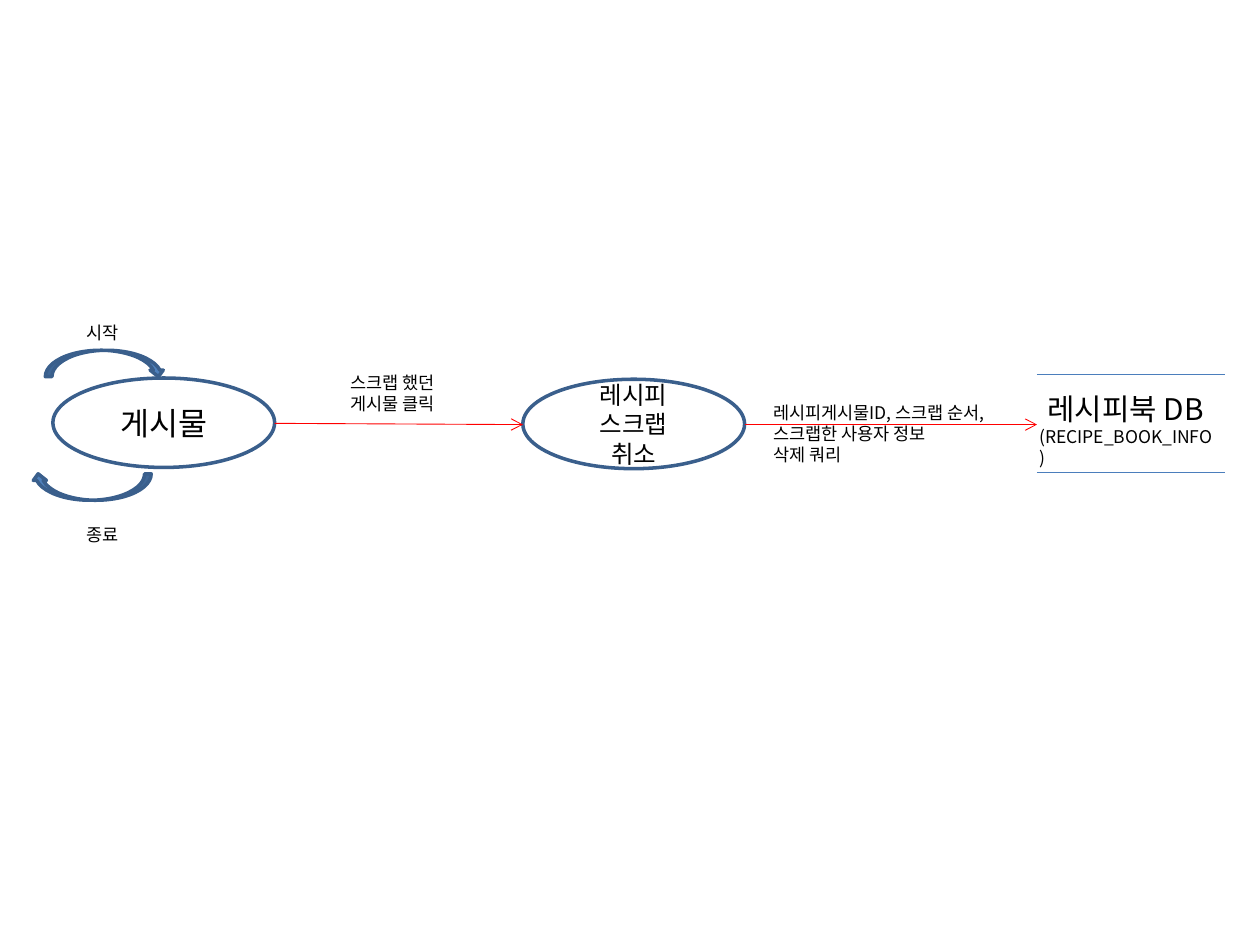
from lxml import etree
from pptx import Presentation
from pptx import util as u
from pptx.dml.color import RGBColor
from pptx.enum import shapes, text
from pptx.oxml.ns import qn

PX = 9144


def px(*lengths):
    return [u.Emu(length * PX) for length in lengths]


def color(code):
    return RGBColor.from_string(code)


class FlowSlide:
    font = "Noto Sans CJK KR"
    ink = "000000"
    outline = "3A5F8C"
    accent = "4F81BD"
    flow = "FF0000"
    store = "4B7EBC"

    def __init__(self, deck):
        self.slide = deck.slides.add_slide(deck.slide_layouts[6])

    def fill_text(self, frame, lines, sizes, aligns):
        frame.text = "\n".join(lines)
        for paragraph, size, align in zip(frame.paragraphs, sizes, aligns):
            paragraph.alignment = align
            for run in paragraph.runs:
                run.font.size = u.Pt(size)
                run.font.name = self.font
                run.font.color.rgb = color(self.ink)
                east_asian = etree.SubElement(run.font._element, qn("a:ea"))
                east_asian.set("typeface", self.font)

    def outlined(self, kind, box):
        shape = self.slide.shapes.add_shape(kind, *px(*box))
        shape.shadow.inherit = False
        shape.line.color.rgb = color(self.outline)
        shape.line.width = u.Pt(2)
        return shape

    def process(self, box, lines, size):
        ellipse = self.outlined(shapes.MSO_SHAPE.OVAL, box)
        ellipse.fill.background()
        frame = ellipse.text_frame
        frame.word_wrap = True
        frame.vertical_anchor = text.MSO_ANCHOR.MIDDLE
        count = len(lines)
        self.fill_text(frame, lines, [size] * count, [text.PP_ALIGN.CENTER] * count)

    def turn(self, box, rotation=0):
        arrow = self.outlined(shapes.MSO_SHAPE.CURVED_DOWN_ARROW, box)
        arrow.fill.solid()
        arrow.fill.fore_color.rgb = color(self.accent)
        arrow.rotation = rotation

    def label(self, box, lines, sizes=(10, 10, 10),
              aligns=(text.PP_ALIGN.LEFT,) * 3, wrap=True):
        frame = self.slide.shapes.add_textbox(*px(*box)).text_frame
        frame.word_wrap = wrap
        frame.auto_size = text.MSO_AUTO_SIZE.SHAPE_TO_FIT_TEXT
        self.fill_text(frame, lines, sizes, aligns)

    def line(self, ends, code, width, arrow=False):
        connector = self.slide.shapes.add_connector(
            shapes.MSO_CONNECTOR.STRAIGHT, *px(*ends))
        connector.line.color.rgb = color(code)
        connector.line.width = u.Pt(width)
        properties = connector._element.spPr
        if arrow:
            tail = etree.SubElement(properties.find(qn("a:ln")), qn("a:tailEnd"))
            tail.set("type", "arrow")
        etree.SubElement(properties, qn("a:effectLst"))

    def data_store(self, left, right, top, bottom, lines):
        for edge in (top, bottom):
            self.line((left, edge, right, edge), self.store, 0.75)
        self.label((left - 8, top + 8, right - left + 8, 56), lines,
                   (17, 10), (text.PP_ALIGN.CENTER, text.PP_ALIGN.LEFT))


def main():
    deck = Presentation()
    deck.slide_width, deck.slide_height = px(1000, 750)
    diagram = FlowSlide(deck)

    diagram.process((415, 301, 176, 71), ["레시피", "스크랩", "취소"], 14)
    diagram.label((59, 251, 48, 27), ["시작"], wrap=False)
    diagram.turn((36, 278, 95, 21))
    diagram.turn((25, 376, 95, 21), rotation=180)
    diagram.label((59, 411, 54, 27), ["종료"])
    diagram.label((268, 290, 97, 44), ["스크랩 했던", "게시물 클릭"])
    diagram.label((604, 314, 290, 61),
                  ["레시피게시물ID, 스크랩 순서,", "스크랩한 사용자 정보", "삭제 쿼리"])
    diagram.process((42, 300, 176, 71), ["게시물"], 18)
    diagram.line((218, 336, 415, 337), diagram.flow, 0.5, arrow=True)
    diagram.data_store(823, 972, 297, 375, ["레시피북 DB", "(RECIPE_BOOK_INFO)"])
    diagram.line((591, 337, 823, 337), diagram.flow, 0.5, arrow=True)

    deck.save("out.pptx")


if __name__ == "__main__":
    main()
